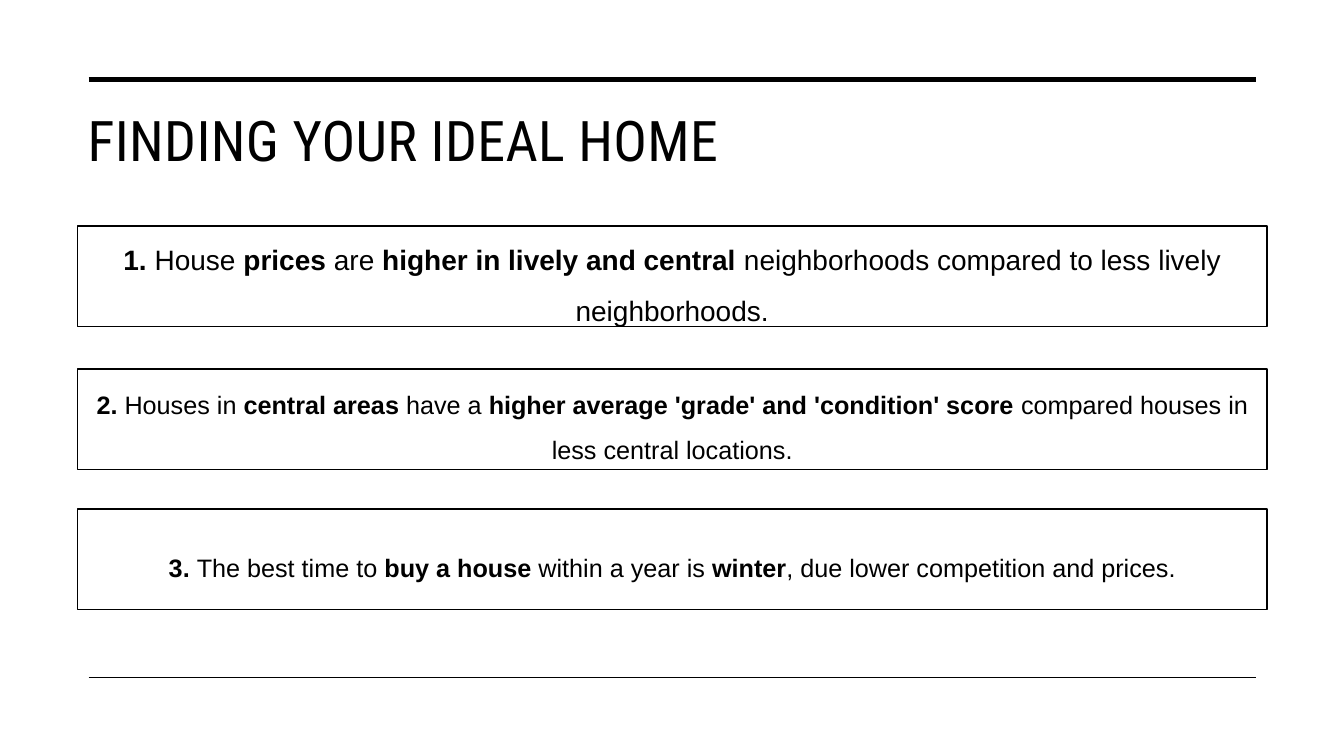
"""Build the slide of three home-buying findings."""
import pptx
import pptx.util
import pptx.dml.color
import pptx.enum.shapes
import pptx.enum.text
import pptx.oxml.ns
from lxml import etree

Pt = pptx.util.Pt
TITLE = "FINDING YOUR IDEAL HOME"
BLACK, WHITE = "000000", "FFFFFF"
BOX_LEFT, BOX_WIDTH, BOX_HEIGHT = 55.4, 849.6, 72
RULE_LEFT, RULE_RIGHT = 63.4, 897.1
RULES = [(56.9, 3.5), (483.8, 1)]

# Each finding: top, text size, then runs that alternate bold and regular.
FINDINGS = [
    (161.3, 20, ["1. ", "House ", "prices ", "are ", "higher in lively and central ",
                 "neighborhoods compared to less lively neighborhoods."]),
    (263.5, 18, ["2. ", "Houses in ", "central areas ", "have a ",
                 "higher average 'grade' and 'condition' score ",
                 "compared houses in less central locations."]),
    (363.6, 18, ["3. ", "The best time to ", "buy a house ", "within a year is ", "winter",
                 ", due lower competition and prices."]),
]


def color(value):
    """Return the colour of a hex string."""
    return pptx.dml.color.RGBColor.from_string(value)


def place(shape, left, top, width, height):
    """Set a shape's position and size in points."""
    shape.left, shape.top = Pt(left), Pt(top)
    shape.width, shape.height = Pt(width), Pt(height)


def add_run(paragraph, text, font_name, size, bold=False):
    """Add one formatted black run."""
    run = paragraph.add_run()
    run.text = text
    run.font.name, run.font.size, run.font.bold = font_name, Pt(size), bold
    run.font.color.rgb = color(BLACK)
    return run


def add_rule(slide, top, weight):
    """Draw a horizontal rule across the slide."""
    rule = slide.shapes.add_connector(pptx.enum.shapes.MSO_CONNECTOR.STRAIGHT,
                                      Pt(RULE_LEFT), Pt(top), Pt(RULE_RIGHT), Pt(top))
    rule.line.color.rgb = color(BLACK)
    rule.line.width = Pt(weight)
    etree.SubElement(rule._element.spPr, pptx.oxml.ns.qn("a:effectLst"))


def fill_title(title):
    """Place and write the title."""
    place(title, BOX_LEFT, 72, 841.7, 103)
    frame = title.text_frame
    frame.auto_size = pptx.enum.text.MSO_AUTO_SIZE.NONE
    frame.vertical_anchor = pptx.enum.text.MSO_ANCHOR.TOP
    paragraph = frame.paragraphs[0]
    paragraph.alignment = pptx.enum.text.PP_ALIGN.LEFT
    run = add_run(paragraph, TITLE, "Roboto Condensed", 40)
    run.font._element.set("spc", "30")


def fill_finding(box, top, size, texts):
    """Place, frame and write one finding."""
    place(box, BOX_LEFT, top, BOX_WIDTH, BOX_HEIGHT)
    box.fill.solid()
    box.fill.fore_color.rgb = color(WHITE)
    box.line.color.rgb = color(BLACK)
    box.line.width = Pt(1)
    frame = box.text_frame
    frame.word_wrap = True
    frame.auto_size = pptx.enum.text.MSO_AUTO_SIZE.NONE
    frame.vertical_anchor = pptx.enum.text.MSO_ANCHOR.MIDDLE
    paragraph = frame.paragraphs[0]
    properties = paragraph._element.get_or_add_pPr()
    properties.set("marL", "0")
    properties.set("indent", "0")
    etree.SubElement(properties, pptx.oxml.ns.qn("a:buNone"))
    paragraph.alignment = pptx.enum.text.PP_ALIGN.CENTER
    paragraph.line_spacing = 1.5
    paragraph.space_before = Pt(0)
    for index, text in enumerate(texts):
        add_run(paragraph, text, "Arial", size, bold=index % 2 == 0)


def main():
    """Build and save the presentation."""
    presentation = pptx.Presentation()
    presentation.slide_width, presentation.slide_height = Pt(960), Pt(540)
    slide = presentation.slides.add_slide(presentation.slide_layouts[1])
    slide.background.fill.solid()
    slide.background.fill.fore_color.rgb = color(WHITE)
    for top, weight in RULES:
        add_rule(slide, top, weight)
    fill_title(slide.shapes.title)
    fill_finding(slide.placeholders[1], *FINDINGS[0])
    for finding in FINDINGS[1:]:
        box = slide.shapes.add_shape(pptx.enum.shapes.MSO_SHAPE.RECTANGLE, 0, 0, 0, 0)
        box.shadow.inherit = False
        fill_finding(box, *finding)
    presentation.save("out.pptx")


if __name__ == "__main__":
    main()
